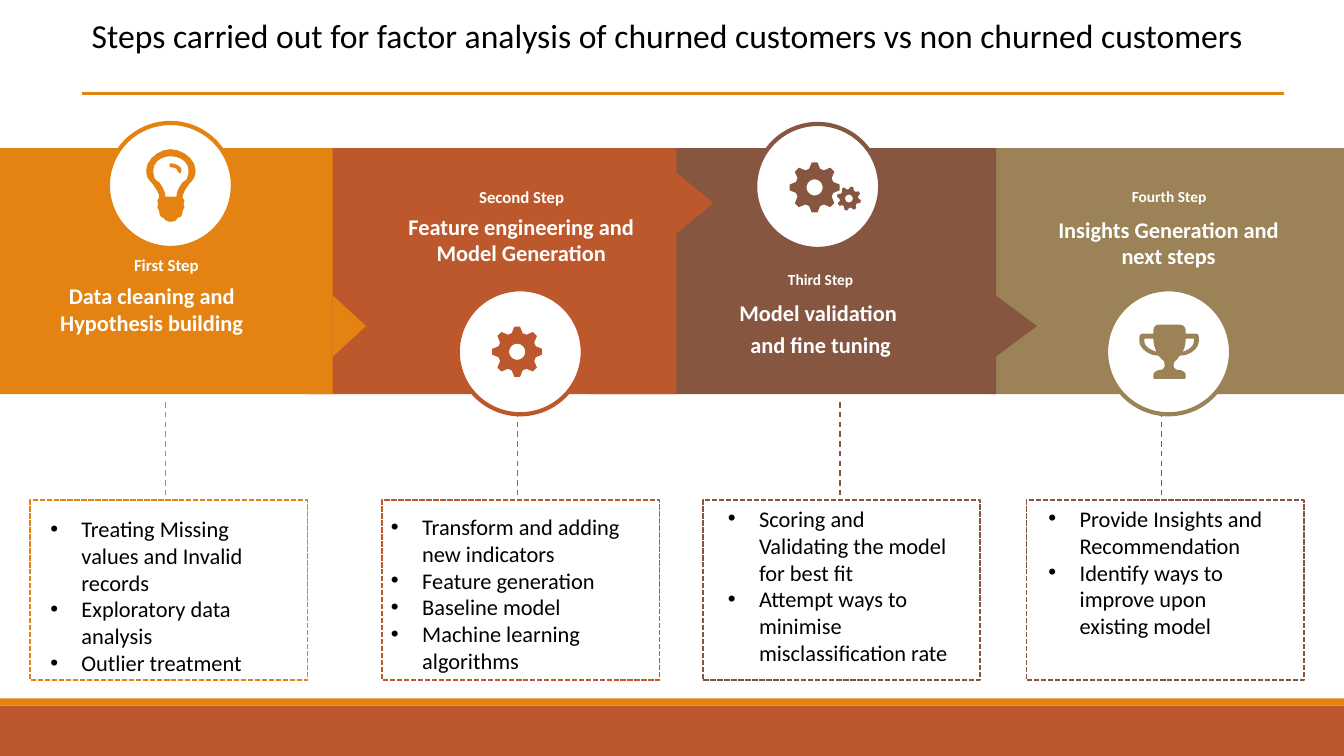
import math
import pptx
import pptx.dml.color
import pptx.enum.dml
import pptx.enum.shapes
import pptx.enum.text
import pptx.util
from lxml import etree
from pptx.util import Inches

RGBColor = pptx.dml.color.RGBColor
ORANGE = RGBColor(0xE4, 0x83, 0x12)
RUST = RGBColor(0xBD, 0x58, 0x2C)
BROWN = RGBColor(0x86, 0x56, 0x40)
OLIVE = RGBColor(0x9B, 0x83, 0x57)
WHITE = RGBColor(0xFF, 0xFF, 0xFF)
BLACK = RGBColor(0, 0, 0)
SHAPE = pptx.enum.shapes.MSO_SHAPE
DASH = pptx.enum.dml.MSO_LINE
ANCHOR = pptx.enum.text.MSO_ANCHOR
CENTER = pptx.enum.text.PP_ALIGN.CENTER

deck = pptx.Presentation()
deck.slide_width, deck.slide_height = Inches(13.33), Inches(7.5)
page = deck.slides.add_slide(deck.slide_layouts[5])


def add_shape(kind, place, fill=None, line=None, width=1, dash=None):
    """Add a preset shape, a straight line (kind None) or an icon (kind "icon")."""
    if kind is None:
        shape = page.shapes.add_connector(
            pptx.enum.shapes.MSO_CONNECTOR.STRAIGHT, *map(Inches, place))
        etree.SubElement(shape._element.spPr, pptx.oxml.ns.qn("a:effectLst"))
    elif kind == "icon":
        # Each contour is a start point, then lines (x, y) or cubic curves (6 numbers)
        builder = None
        for start, *segments in place:
            points, last = [], start
            for segment in segments:
                if len(segment) == 6:
                    x1, y1, x2, y2, x3, y3 = segment
                    for t in (0.2, 0.4, 0.6, 0.8):
                        a, b, c, d = (1-t)**3, 3*t*(1-t)**2, 3*t*t*(1-t), t**3
                        points.append((a*last[0] + b*x1 + c*x2 + d*x3,
                                       a*last[1] + b*y1 + c*y2 + d*y3))
                last = segment[-2:]
                points.append(last)
            if builder is None:
                builder = page.shapes.build_freeform(*map(Inches, start), scale=1.0)
            else:
                builder.move_to(*map(Inches, start))
            builder.add_line_segments([(Inches(x), Inches(y)) for x, y in points])
        shape = builder.convert_to_shape()
    else:
        shape = page.shapes.add_shape(kind, *map(Inches, place))
    if kind is not None:
        shape.shadow.inherit = False
        if fill is None:
            shape.fill.background()
        else:
            shape.fill.solid()
            shape.fill.fore_color.rgb = fill
    if line is None:
        shape.line.fill.background()
    else:
        shape.line.color.rgb = line
        shape.line.width = pptx.util.Pt(width)
        if dash:
            shape.line.dash_style = dash
    return shape


def add_text(place, lines, size, colour, bold=False, bullets=False, wrap=True,
             anchor=ANCHOR.TOP, box=None):
    """Fill a new text box, or the given placeholder, one paragraph per line."""
    if box is None:
        box = page.shapes.add_textbox(0, 0, 0, 0)
    box.left, box.top, box.width, box.height = map(Inches, place)
    frame = box.text_frame
    frame.word_wrap = wrap
    frame.auto_size = pptx.enum.text.MSO_AUTO_SIZE.SHAPE_TO_FIT_TEXT
    frame.vertical_anchor = anchor
    if bold:
        frame.margin_left = frame.margin_right = frame.margin_top = frame.margin_bottom = 0
    for number, line in enumerate(lines):
        para = frame.paragraphs[0] if number == 0 else frame.add_paragraph()
        para.alignment = CENTER if bold else pptx.enum.text.PP_ALIGN.LEFT
        if bold and number:
            para.space_before = pptx.util.Pt(3.2)
        if bullets:
            props = para._p.get_or_add_pPr()
            props.set("marL", str(Inches(0.31)))
            props.set("indent", str(-Inches(0.31)))
            etree.SubElement(props, pptx.oxml.ns.qn("a:buFont")).set("typeface", "Arial")
            etree.SubElement(props, pptx.oxml.ns.qn("a:buChar")).set("char", "•")
        span = para.add_run()
        span.text = line
        span.font.name = "Calibri"
        span.font.size = pptx.util.Pt(size)
        span.font.bold = bold
        span.font.color.rgb = colour


# Footer bars
add_shape(SHAPE.RECTANGLE, (0, 7, 13.33, 0.5), RUST)
add_shape(SHAPE.RECTANGLE, (0, 6.93, 13.33, 0.07), ORANGE)

# Title and rule
add_text((0.81, 0.1, 11.74, 0.5),
         ["Steps carried out for factor analysis of churned customers vs non churned customers "],
         24, BLACK, box=page.shapes.title)
add_shape(None, (0.81, 0.93, 12.74, 0.93), line=ORANGE, width=2.25)

# Step bands, last one at the back; each arrow head is a turned triangle
BAND_TOP, BAND_HEIGHT, ARROW_BASE = 1.47, 2.44, 0.61
for left, right, colour, arrow in [
        (9.82, 13.34, OLIVE, None), (5.85, 9.88, BROWN, (10.08, 3.235, 0.41)),
        (3.05, 6.71, RUST, (6.89, 2.015, 0.37)), (0, 3.3, ORANGE, (3.465, 3.235, 0.33))]:
    add_shape(SHAPE.RECTANGLE, (left, BAND_TOP, right - left, BAND_HEIGHT), colour)
    if arrow:
        x, y, depth = arrow
        head = add_shape(SHAPE.ISOSCELES_TRIANGLE,
                         (x - ARROW_BASE / 2, y - depth / 2, ARROW_BASE, depth), colour)
        head.rotation = 90

# Steps: colour, circle, label, heading, connector, detail frame, detail text
steps = [
    (ORANGE, (1.07, 1.22), "First Step", 12, (1.19, 2.48, 0.92, 0.3),
     ["Data cleaning and Hypothesis building"], (0.3, 2.8, 2.41, 0.54),
     1.64, 0.3, ORANGE, (0.4, 5.06, 2.49, 2.26),
     ["Treating Missing values and Invalid records", "Exploratory data analysis",
      "Outlier treatment"]),
    (RUST, (4.54, 2.87), "Second Step", 12, (4.56, 1.8, 1.23, 0.3),
     ["Feature engineering and Model Generation"], (4.02, 2.11, 2.3, 0.54),
     5.13, 3.79, RUST, (3.78, 5.04, 2.64, 1.99),
     ["Transform and adding new indicators", "Feature generation", "Baseline model",
      "Machine learning algorithms"]),
    (BROWN, (7.49, 1.23), "Third Step", 11, (7.81, 2.68, 0.66, 0.19),
     ["Model validation ", "and fine tuning"], (6.83, 2.97, 2.62, 0.59),
     8.33, 6.97, BROWN, (7.12, 4.96, 2.45, 1.99),
     ["Scoring and Validating the model for best fit",
      "Attempt ways to minimise misclassification rate"]),
    (OLIVE, (10.97, 2.87), "Fourth Step", 11, (11.07, 1.85, 1.05, 0.19),
     ["Insights Generation and next steps"], (10.28, 2.14, 2.62, 0.54),
     11.52, 10.18, BROWN, (10.3, 4.96, 2.45, 1.72),
     ["Provide Insights and Recommendation",
      "Identify ways to improve upon existing model"]),
]
for (colour, circle, label, label_size, label_place, heading, heading_place,
     line_x, frame_left, frame_colour, detail_place, details) in steps:
    add_shape(None, (line_x, 3.99, line_x, 4.96), line=frame_colour, dash=DASH.DASH)
    add_shape(SHAPE.OVAL, (*circle, 1.24, 1.24), WHITE, colour, 3)
    add_text(label_place, [label], label_size, WHITE, bold=True, wrap=False,
             anchor=ANCHOR.MIDDLE)
    add_text(heading_place, heading, 16, WHITE, bold=True)
    add_shape(SHAPE.RECTANGLE, (frame_left, 4.96, 2.75, 1.79), line=frame_colour,
              width=1.25, dash=DASH.SQUARE_DOT)
    add_text(detail_place, details, 16, BLACK, bullets=True)

# Gear icons: eight teeth around a round hole
for x, y, radius, turn, colour in [(5.13, 3.49, 0.25, 0, RUST),
                                   (8.08, 1.86, 0.25, 0, BROWN),
                                   (8.42, 1.97, 0.12, 15, BROWN)]:
    teeth = [(45 * tooth + turn + offset, radius * reach) for tooth in range(8)
             for offset, reach in ((-16.5, 0.77), (-6.5, 1), (6.5, 1), (16.5, 0.77))]
    hole = [(angle, radius * 0.32) for angle in range(0, 360, 15)]
    add_shape("icon", [[(x + r * math.cos(math.radians(a)), y + r * math.sin(math.radians(a)))
                        for a, r in ring] for ring in (teeth, hole)], colour)

# Bulb icon: outline, glass, glint
add_shape("icon", [
    [(1.88, 1.82), (1.86, 1.85, 1.81, 1.91, 1.81, 1.96), (1.83, 1.99), (1.82, 2.03),
     (1.83, 2.05), (1.81, 2.1), (1.81, 2.14, 1.79, 2.16, 1.76, 2.16),
     (1.75, 2.19, 1.73, 2.2, 1.69, 2.2), (1.67, 2.2, 1.64, 2.19, 1.62, 2.16),
     (1.6, 2.16, 1.58, 2.14, 1.58, 2.1), (1.56, 2.05), (1.57, 2.03), (1.56, 1.99),
     (1.58, 1.96), (1.58, 1.91, 1.53, 1.85, 1.51, 1.82),
     (1.47, 1.78, 1.45, 1.75, 1.45, 1.69), (1.45, 1.58, 1.58, 1.48, 1.69, 1.48),
     (1.81, 1.48, 1.94, 1.58, 1.94, 1.69), (1.94, 1.75, 1.92, 1.78, 1.88, 1.82)],
    [(1.69, 1.55), (1.61, 1.55, 1.52, 1.6, 1.52, 1.69), (1.52, 1.73, 1.53, 1.76, 1.54, 1.78),
     (1.58, 1.81), (1.61, 1.85, 1.64, 1.9, 1.64, 1.95), (1.75, 1.95),
     (1.75, 1.9, 1.78, 1.85, 1.81, 1.81), (1.85, 1.78),
     (1.86, 1.76, 1.87, 1.73, 1.87, 1.69), (1.87, 1.6, 1.78, 1.55, 1.69, 1.55)],
    [(1.79, 1.72), (1.78, 1.72, 1.76, 1.7, 1.76, 1.69), (1.76, 1.67, 1.72, 1.66, 1.69, 1.66),
     (1.68, 1.66, 1.68, 1.62, 1.69, 1.62), (1.74, 1.62, 1.8, 1.65, 1.8, 1.69),
     (1.8, 1.7, 1.79, 1.72, 1.79, 1.72)]], ORANGE)

# Trophy icon: cup and foot, then the two handle openings
add_shape("icon", [
    [(11.89, 3.39), (11.89, 3.45, 11.81, 3.53, 11.7, 3.53), (11.67, 3.57),
     (11.65, 3.58, 11.64, 3.6, 11.64, 3.63), (11.64, 3.64, 11.65, 3.67, 11.69, 3.67),
     (11.72, 3.67, 11.76, 3.69, 11.76, 3.72), (11.76, 3.75), (11.75, 3.76), (11.45, 3.76),
     (11.44, 3.75), (11.44, 3.72), (11.44, 3.69, 11.48, 3.67, 11.51, 3.67),
     (11.54, 3.67, 11.55, 3.64, 11.55, 3.63), (11.55, 3.6, 11.55, 3.58, 11.53, 3.57),
     (11.49, 3.53), (11.39, 3.53, 11.3, 3.45, 11.3, 3.39), (11.3, 3.35),
     (11.3, 3.32, 11.32, 3.31, 11.34, 3.31), (11.44, 3.31), (11.44, 3.28),
     (11.44, 3.24, 11.47, 3.22, 11.49, 3.22), (11.69, 3.22),
     (11.73, 3.22, 11.76, 3.24, 11.76, 3.28), (11.76, 3.31), (11.85, 3.31),
     (11.88, 3.31, 11.89, 3.32, 11.89, 3.35)],
    [(11.44, 3.36), (11.35, 3.36), (11.35, 3.39), (11.35, 3.43, 11.4, 3.47, 11.47, 3.49),
     (11.45, 3.45, 11.44, 3.41, 11.44, 3.36)],
    [(11.84, 3.36), (11.76, 3.36), (11.76, 3.41, 11.75, 3.45, 11.73, 3.49),
     (11.8, 3.47, 11.84, 3.43, 11.84, 3.39)]], OLIVE)

deck.save("out.pptx")
